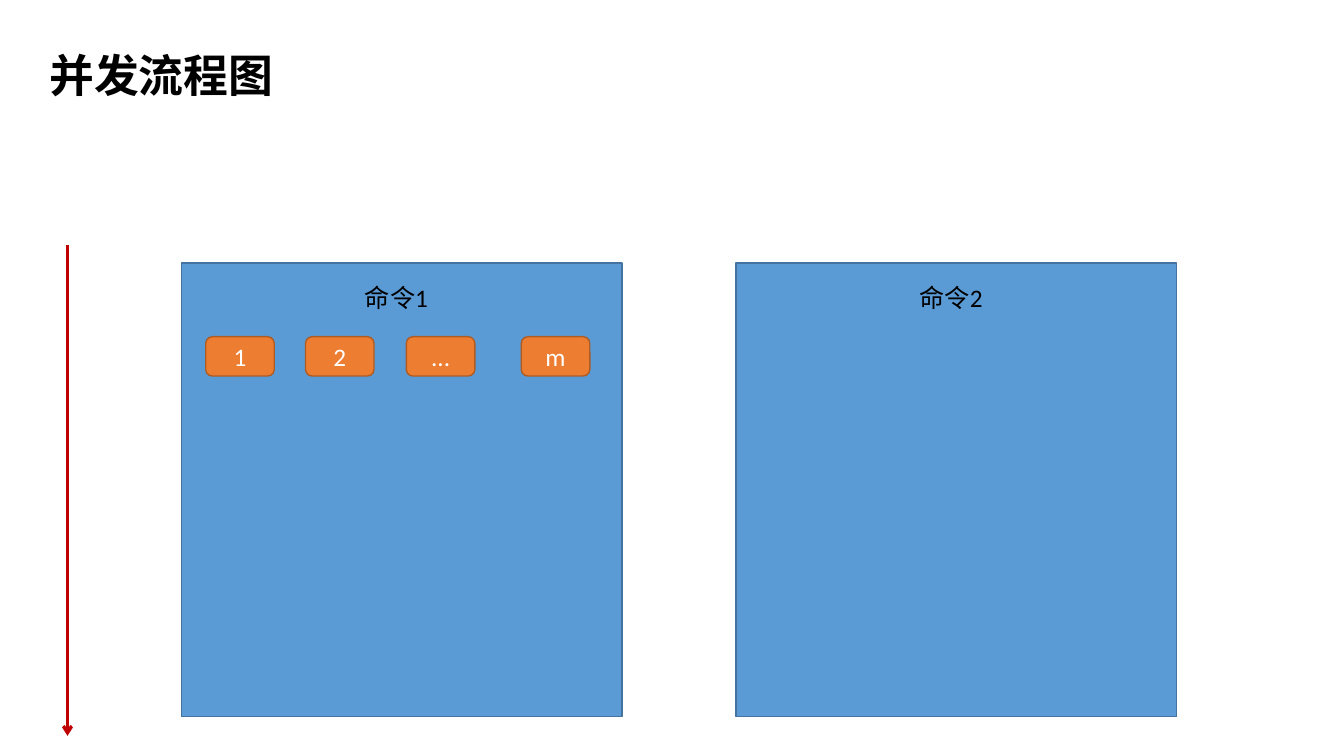
from lxml.etree import SubElement
from pptx import Presentation
from pptx.dml.color import RGBColor
from pptx.enum.shapes import MSO_CONNECTOR, MSO_SHAPE
from pptx.enum.text import MSO_ANCHOR, PP_ALIGN
from pptx.oxml.ns import qn
from pptx.util import Inches, Pt

TITLE = "并发流程图"
COMMANDS = [("命令1", 1.8), ("命令2", 7.3)]  # label, panel left
STEPS = [("1", 2.04), ("2", 3.03), ("...", 4.03), ("m", 5.17)]  # label, left

PANEL_TOP, PANEL_W, PANEL_H = 2.61, 4.37, 4.5
LABEL_DX, LABEL_DY, LABEL_W, LABEL_H = 1.72, 0.14, 0.93, 0.4
STEP_TOP, STEP_W, STEP_H = 3.34, 0.68, 0.39
AXIS_X, AXIS_TOP, AXIS_BOTTOM = 0.67, 2.43, 7.3

FONT = "Calibri"
BLACK = RGBColor(0x00, 0x00, 0x00)
WHITE = RGBColor(0xFF, 0xFF, 0xFF)
BLUE = RGBColor(0x5B, 0x9B, 0xD5)
DARK_BLUE = RGBColor(0x43, 0x73, 0x9E)
ORANGE = RGBColor(0xED, 0x7D, 0x31)
DARK_ORANGE = RGBColor(0xAF, 0x5C, 0x24)
RED = RGBColor(0xC0, 0x00, 0x00)


def write(sp, text, size=18, color=BLACK, bold=False,
          align=PP_ALIGN.LEFT, anchor=MSO_ANCHOR.TOP):
    tf = sp.text_frame
    tf.word_wrap = True
    tf.vertical_anchor = anchor
    p = tf.paragraphs[0]
    p.alignment = align
    r = p.add_run()
    r.text = text
    r.font.name = FONT
    r.font.size = Pt(size)
    r.font.bold = bold
    r.font.color.rgb = color


def add_text(slide, text, box, **fmt):
    write(slide.shapes.add_textbox(*map(Inches, box)), text, **fmt)


def add_box(slide, kind, box, fill, line):
    sp = slide.shapes.add_shape(kind, *map(Inches, box))
    sp.shadow.inherit = False
    sp.fill.solid()
    sp.fill.fore_color.rgb = fill
    sp.line.color.rgb = line
    sp.line.width = Pt(1)
    return sp


def add_time_arrow(slide):
    ends = map(Inches, (AXIS_X, AXIS_TOP, AXIS_X, AXIS_BOTTOM))
    arrow = slide.shapes.add_connector(MSO_CONNECTOR.STRAIGHT, *ends)
    arrow.line.color.rgb = RED
    arrow.line.width = Pt(2.25)
    SubElement(arrow.line._get_or_add_ln(), qn("a:tailEnd"), type="arrow")
    SubElement(arrow._element.spPr, qn("a:effectLst"))


def main():
    prs = Presentation()
    prs.slide_width, prs.slide_height = Inches(13.33), Inches(7.5)
    slide = prs.slides.add_slide(prs.slide_layouts[6])

    for label, left in COMMANDS:
        add_box(slide, MSO_SHAPE.RECTANGLE,
                (left, PANEL_TOP, PANEL_W, PANEL_H), BLUE, DARK_BLUE)
        add_text(slide, label,
                 (left + LABEL_DX, PANEL_TOP + LABEL_DY, LABEL_W, LABEL_H))

    for label, left in STEPS:
        step = add_box(slide, MSO_SHAPE.ROUNDED_RECTANGLE,
                       (left, STEP_TOP, STEP_W, STEP_H), ORANGE, DARK_ORANGE)
        write(step, label, color=WHITE, align=PP_ALIGN.CENTER,
              anchor=MSO_ANCHOR.MIDDLE)

    add_time_arrow(slide)
    add_text(slide, TITLE, (0.39, 0.42, 12.4, 0.64), size=32, bold=True)
    prs.save("out.pptx")


if __name__ == "__main__":
    main()
